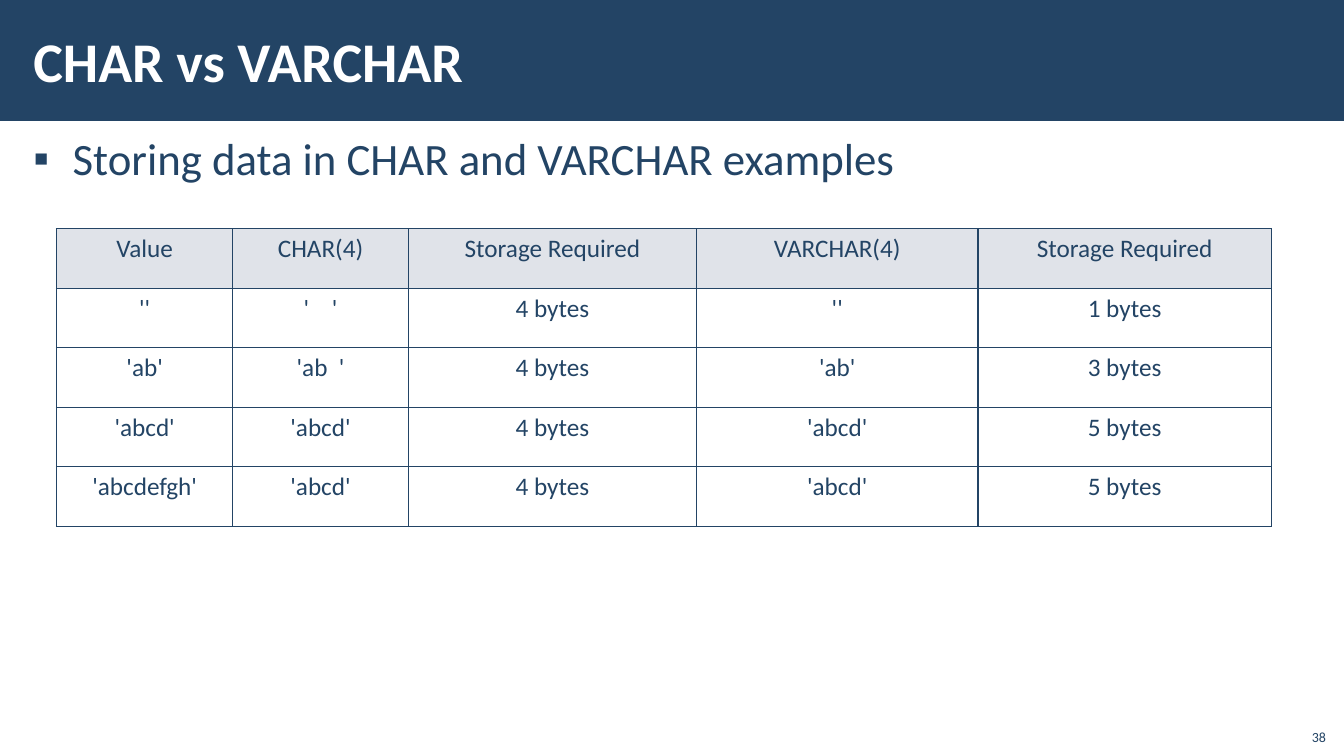
from lxml.etree import SubElement
from pptx import Presentation
from pptx.dml.color import RGBColor
from pptx.enum.shapes import MSO_SHAPE
from pptx.enum.text import MSO_ANCHOR, MSO_AUTO_SIZE, PP_ALIGN
from pptx.oxml.ns import qn
from pptx.util import Inches, Pt

WIDTH, HEIGHT = Inches(13.33), Inches(7.5)
NAVY, PALE, WHITE = "234465", "E0E3E9", "FFFFFF"
FONT = "Calibri"
COLUMN_SHARES = (13.13, 13.05, 21.46, 20.93, 21.83)
ROW_SHARE = 7.87
STORAGE_ROWS = (
    ("Value", "CHAR(4)", "Storage Required", "VARCHAR(4)", "Storage Required"),
    ("''", "'    '", "4 bytes", "''", "1 bytes"),
    ("'ab'", "'ab  '", "4 bytes", "'ab'", "3 bytes"),
    ("'abcd'", "'abcd'", "4 bytes", "'abcd'", "5 bytes"),
    ("'abcdefgh'", "'abcd'", "4 bytes", "'abcd'", "5 bytes"),
)


def across(share):
    """Return a percentage of the slide's width."""
    return int(WIDTH * share / 100)


def down(share):
    """Return a percentage of the slide's height."""
    return int(HEIGHT * share / 100)


def area(left, top, width, height):
    """Turn percentages of the slide into a left, top, width and height."""
    return across(left), down(top), across(width), down(height)


def paint(color_format, color):
    """Set a colour from a hex string."""
    color_format.rgb = RGBColor.from_string(color)


def add_span(para, text, size, color=NAVY, bold=False):
    """Add one formatted run to a paragraph."""
    span = para.add_run()
    span.text = text
    span.font.name, span.font.size, span.font.bold = FONT, Pt(size), bold
    paint(span.font.color, color)


def set_frame(frame, anchor, side=0.12, edge=0.04):
    """Give a text frame its wrapping, anchor and insets."""
    frame.word_wrap = True
    frame.auto_size = MSO_AUTO_SIZE.NONE
    frame.vertical_anchor = anchor
    frame.margin_left = frame.margin_right = Inches(side)
    frame.margin_top = frame.margin_bottom = Inches(edge)


def add_title(page, text):
    """Fill the title placeholder and lay the header band behind it."""
    title = page.shapes.title
    title.left, title.top, title.width, title.height = area(1.58, 1.47, 79.74, 12.93)
    set_frame(title.text_frame, MSO_ANCHOR.MIDDLE)
    para = title.text_frame.paragraphs[0]
    para.alignment = PP_ALIGN.LEFT
    add_span(para, text, 40, WHITE, True)
    band = page.shapes.add_shape(MSO_SHAPE.RECTANGLE, *area(0, 0, 100, 16))
    band.shadow.inherit = False
    band.fill.solid()
    paint(band.fill.fore_color, NAVY)
    band.line.fill.background()
    title.element.addprevious(band.element)


def add_bullet(page, text):
    """Add the body text with a square bullet and a hanging indent."""
    box = page.shapes.add_textbox(*area(1.58, 16.8, 96.85, 78.13))
    set_frame(box.text_frame, MSO_ANCHOR.TOP)
    para = box.text_frame.paragraphs[0]
    para.space_before = para.space_after = Pt(6)
    properties = para._p.get_or_add_pPr()
    properties.set("marL", str(Inches(0.39)))
    properties.set("indent", str(Inches(-0.39)))
    bullet_color = SubElement(properties, qn("a:buClr"))
    SubElement(bullet_color, qn("a:srgbClr"), val=NAVY)
    SubElement(properties, qn("a:buFont"), typeface="Arial")
    SubElement(properties, qn("a:buChar"), char="▪")
    add_span(para, text, 32)


def add_page_number(page, text):
    """Add the page number in the bottom right corner."""
    box = page.shapes.add_textbox(*area(96.4, 94.93, 3, 4.27))
    set_frame(box.text_frame, MSO_ANCHOR.BOTTOM, 0.1, 0.05)
    para = box.text_frame.paragraphs[0]
    para.alignment = PP_ALIGN.RIGHT
    add_span(para, text, 10)


def set_borders(cell):
    """Draw a thin navy line on all four sides of a cell."""
    properties = cell._tc.get_or_add_tcPr()
    for position, side in enumerate(("a:lnL", "a:lnR", "a:lnT", "a:lnB")):
        line = SubElement(properties, qn(side), w=str(Pt(1)))
        fill = SubElement(line, qn("a:solidFill"))
        SubElement(fill, qn("a:srgbClr"), val=NAVY)
        properties.insert(position, line)


def add_storage_table(page):
    """Add the comparison table with a shaded header row."""
    place = area(4.2, 30.27, sum(COLUMN_SHARES), ROW_SHARE * len(STORAGE_ROWS))
    frame = page.shapes.add_table(len(STORAGE_ROWS), len(COLUMN_SHARES), *place)
    table = frame.table
    table.first_row = table.horz_banding = False
    for column, share in zip(table.columns, COLUMN_SHARES):
        column.width = across(share)
    for row_index, (row, texts) in enumerate(zip(table.rows, STORAGE_ROWS)):
        row.height = down(ROW_SHARE)
        for cell, text in zip(row.cells, texts):
            if row_index == 0:
                cell.fill.solid()
                paint(cell.fill.fore_color, PALE)
            else:
                cell.fill.background()
            set_borders(cell)
            para = cell.text_frame.paragraphs[0]
            para.alignment = PP_ALIGN.CENTER
            add_span(para, text, 18)


def main():
    """Build the slide and save it."""
    deck = Presentation()
    deck.slide_width, deck.slide_height = WIDTH, HEIGHT
    page = deck.slides.add_slide(deck.slide_layouts.get_by_name("Title Only"))
    add_title(page, "CHAR vs VARCHAR")
    add_bullet(page, "Storing data in CHAR and VARCHAR examples")
    add_page_number(page, "38")
    add_storage_table(page)
    deck.save("out.pptx")


if __name__ == "__main__":
    main()
